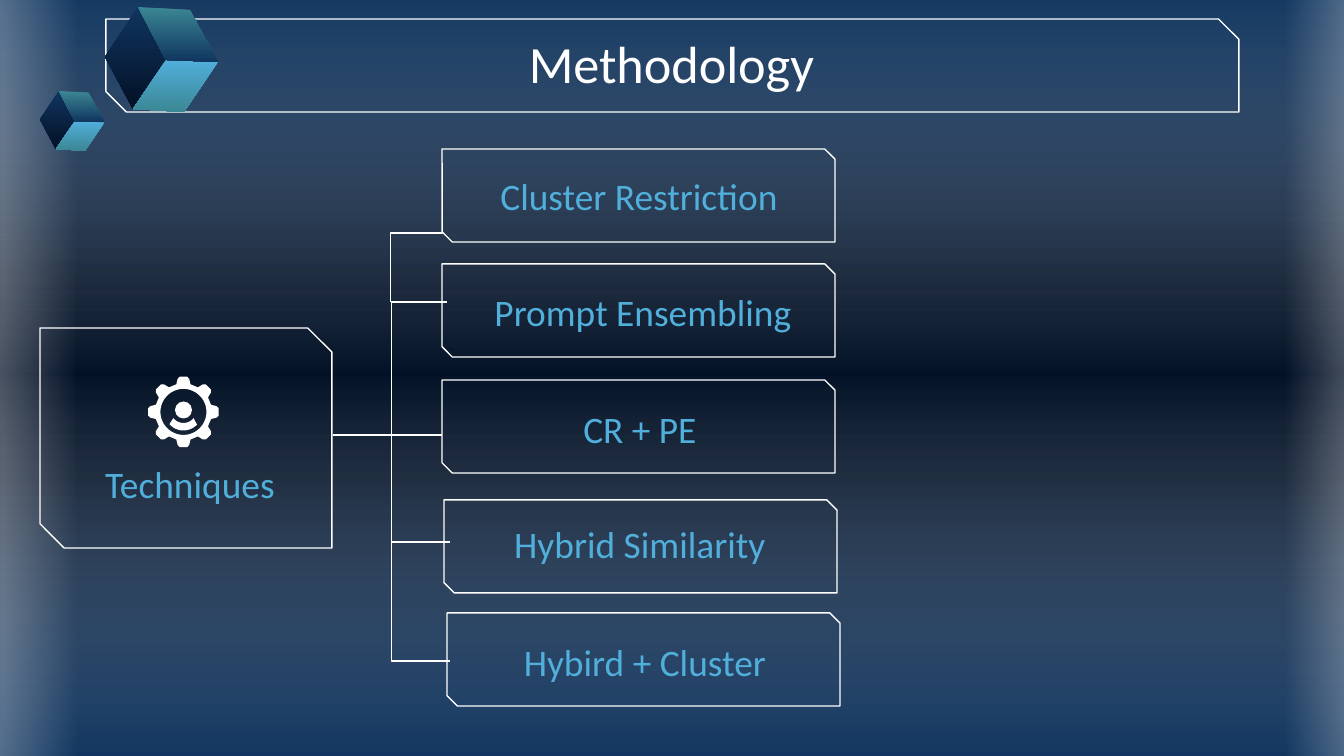
"""Builds the methodology slide: a techniques box branching to five methods."""
import math

import lxml.etree
import pptx
import pptx.dml.color
import pptx.enum.shapes
import pptx.enum.text
import pptx.oxml.ns
import pptx.util

PX = 914400 / 134.4
COLORS = {"white": "FFFFFF", "navy": "10355F", "night": "031126", "sky": "51AFDB", "teal": "3B8794"}
SHAPES = pptx.enum.shapes.MSO_SHAPE
LINES = pptx.enum.shapes.MSO_CONNECTOR

SLIDE_SIZE = (1344, 756)
BACKDROP = [(0, "navy", 100), (37, "night", 100), (63, "night", 100), (100, "navy", 100)]
VIGNETTE = [(0, "navy", 59), (50, "white", 0), (100, "navy", 59)]
GLOW = [(0, "white", 47), (100, "white", 0)]
PANELS = [
    ((296, -313, 781, 1372), 270, VIGNETTE),
    ((-55, -12, 132, 780), 180, GLOW),
    ((1285, -17, 114, 780), 0, GLOW),
]

TITLE = ("Methodology", (105, 20, 1133, 85))
TITLE_FRAME = (106, 19, 1133, 93)
TOPIC = ("Techniques", (59, 449, 262, 70))
TOPIC_FRAME = (40, 328, 292, 220)
METHOD_SIZE = (393, 93)
METHODS = [
    ("Cluster Restriction", (442, 149), (469, 160, 340, 71)),
    ("Prompt Ensembling", (442, 264), (473, 276, 340, 71)),
    ("CR + PE", (442, 380), (444, 388, 392, 82)),
    ("Hybrid Similarity", (444, 500), (444, 503, 392, 82)),
    ("Hybird + Cluster", (447, 613), (449, 621, 392, 82)),
]
BRANCHES = [
    (LINES.ELBOW, (336, 435), (447, 302), 0),
    (LINES.ELBOW, (333, 435), (450, 661), 0),
    (LINES.ELBOW, (333, 435), (450, 542), 0),
    (LINES.ELBOW, (486, 259), (347, 207), 90),
    (LINES.STRAIGHT, (372, 435), (442, 435), 0),
]

CUBE_CORNER = (105, 7)
CUBE_FACES = [
    ([(138, 7), (105, 57), (133, 109), (166, 60)], ("navy", "night")),
    ([(166, 60), (218, 62), (184, 112), (133, 109)], ("sky", "teal")),
    ([(138, 7), (190, 10), (218, 62), (166, 60)], ("teal", "navy")),
]
CUBES = [((105, 7), 1), ((40, 91), 0.57)]

GEAR_CENTER = (183.5, 412)
HEAD_CENTER = (183.5, 410)
HEAD_RADIUS = 8.5
TOOTH = [(-14.5, 28.5), (-10, 33.5), (-6, 35.5), (6, 35.5), (10, 33.5), (14.5, 28.5)]

TEXT_FORMAT = {"name": "Calibri", "bold": False}
INSET = pptx.util.Inches(0.1)
FRAME_FORMAT = {
    "word_wrap": True,
    "vertical_anchor": pptx.enum.text.MSO_ANCHOR.MIDDLE,
    "margin_left": INSET, "margin_right": INSET, "margin_top": INSET, "margin_bottom": INSET,
}


def emu(values):
    return [round(value * PX) for value in values]


def rgb(color):
    return pptx.dml.color.RGBColor.from_string(COLORS[color])


def set_gradient(fill, element, stops, angle):
    qn = pptx.oxml.ns.qn
    fill.gradient()
    gradient = element.find(".//" + qn("a:gradFill"))
    gradient.find(qn("a:lin")).set("ang", str(angle * 60000))
    stop_list = gradient.find(qn("a:gsLst"))
    stop_list[:] = []
    for position, color, opacity in stops:
        stop = lxml.etree.SubElement(stop_list, qn("a:gs"), pos=str(position * 1000))
        tint = lxml.etree.SubElement(stop, qn("a:srgbClr"), val=COLORS[color])
        if opacity < 100:
            lxml.etree.SubElement(tint, qn("a:alpha"), val=str(opacity * 1000))


def set_outline(line):
    line.color.rgb = rgb("white")
    line.width = pptx.util.Pt(0.75)


def fill_plain(shape, color="white"):
    shape.shadow.inherit = False
    shape.line.fill.background()
    shape.fill.solid()
    shape.fill.fore_color.rgb = rgb(color)
    return shape


def add_panel(slide, box, rotation, stops):
    panel = fill_plain(slide.shapes.add_shape(SHAPES.RECTANGLE, *emu(box)))
    panel.rotation = rotation
    set_gradient(panel.fill, panel.element, stops, 180)


def add_frame(slide, box, snip=0.11):
    frame = slide.shapes.add_shape(SHAPES.SNIP_2_DIAG_RECTANGLE, *emu(box))
    frame.adjustments[0] = 0
    frame.adjustments[1] = snip
    frame.shadow.inherit = False
    frame.fill.background()
    set_outline(frame.line)


def add_label(slide, text, box, color="sky", size=20):
    frame = slide.shapes.add_textbox(*emu(box)).text_frame
    for name, value in FRAME_FORMAT.items():
        setattr(frame, name, value)
    paragraph = frame.paragraphs[0]
    paragraph.alignment = pptx.enum.text.PP_ALIGN.CENTER
    run = paragraph.add_run()
    run.text = text
    for name, value in {**TEXT_FORMAT, "size": pptx.util.Pt(size)}.items():
        setattr(run.font, name, value)
    run.font.color.rgb = rgb(color)


def add_branch(slide, kind, start, end, rotation):
    branch = slide.shapes.add_connector(kind, *emu(start + end))
    set_outline(branch.line)
    properties = branch.element.spPr
    lxml.etree.SubElement(properties, pptx.oxml.ns.qn("a:effectLst"))
    if rotation:
        properties.find(pptx.oxml.ns.qn("a:xfrm")).set("rot", str(rotation * 60000))


def add_outline(slide, *contours):
    first, *others = [[emu(point) for point in contour] for contour in contours]
    builder = slide.shapes.build_freeform(*first[0])
    builder.add_line_segments(first[1:], close=True)
    for contour in others:
        builder.move_to(*contour[0])
        builder.add_line_segments(contour[1:], close=True)
    return fill_plain(builder.convert_to_shape())


def polar(center, radius, degrees):
    angle = math.radians(degrees)
    return center[0] + radius * math.cos(angle), center[1] + radius * math.sin(angle)


def arc(center, radius, start, end, step):
    return [polar(center, radius, degrees) for degrees in range(start, end, step)]


def add_gear(slide):
    left, top = (middle - HEAD_RADIUS for middle in HEAD_CENTER)
    head = (left, top, 2 * HEAD_RADIUS, 2 * HEAD_RADIUS)
    fill_plain(slide.shapes.add_shape(SHAPES.OVAL, *emu(head)))
    teeth = [polar(GEAR_CENTER, radius, turn + offset)
             for turn in range(0, 360, 45) for offset, radius in TOOTH]
    add_outline(slide, teeth, arc(GEAR_CENTER, 23, 360, 0, -6))
    add_outline(slide, arc(GEAR_CENTER, 18.5, 43, 140, 6) + arc(HEAD_CENTER, 13, 141, 38, -6))


def add_cube(slide, corner, scale):
    for points, (upper, lower) in CUBE_FACES:
        placed = [[start + scale * (value - base)
                   for start, value, base in zip(corner, point, CUBE_CORNER)] for point in points]
        face = add_outline(slide, placed)
        set_gradient(face.fill, face.element, [(0, upper, 100), (100, lower, 100)], 90)


def main():
    deck = pptx.Presentation()
    deck.slide_width, deck.slide_height = emu(SLIDE_SIZE)
    slide = deck.slides.add_slide(deck.slide_layouts[6])
    set_gradient(slide.background.fill, slide.element, BACKDROP, 90)
    for panel in PANELS:
        add_panel(slide, *panel)
    add_frame(slide, TITLE_FRAME, 0.22)
    add_label(slide, *TITLE, color="white", size=28)
    add_frame(slide, TOPIC_FRAME)
    add_label(slide, *TOPIC)
    for method, corner, label_box in METHODS:
        add_frame(slide, corner + METHOD_SIZE)
        add_label(slide, method, label_box)
    for branch in BRANCHES:
        add_branch(slide, *branch)
    add_gear(slide)
    for cube in CUBES:
        add_cube(slide, *cube)
    deck.save("out.pptx")


if __name__ == "__main__":
    main()
